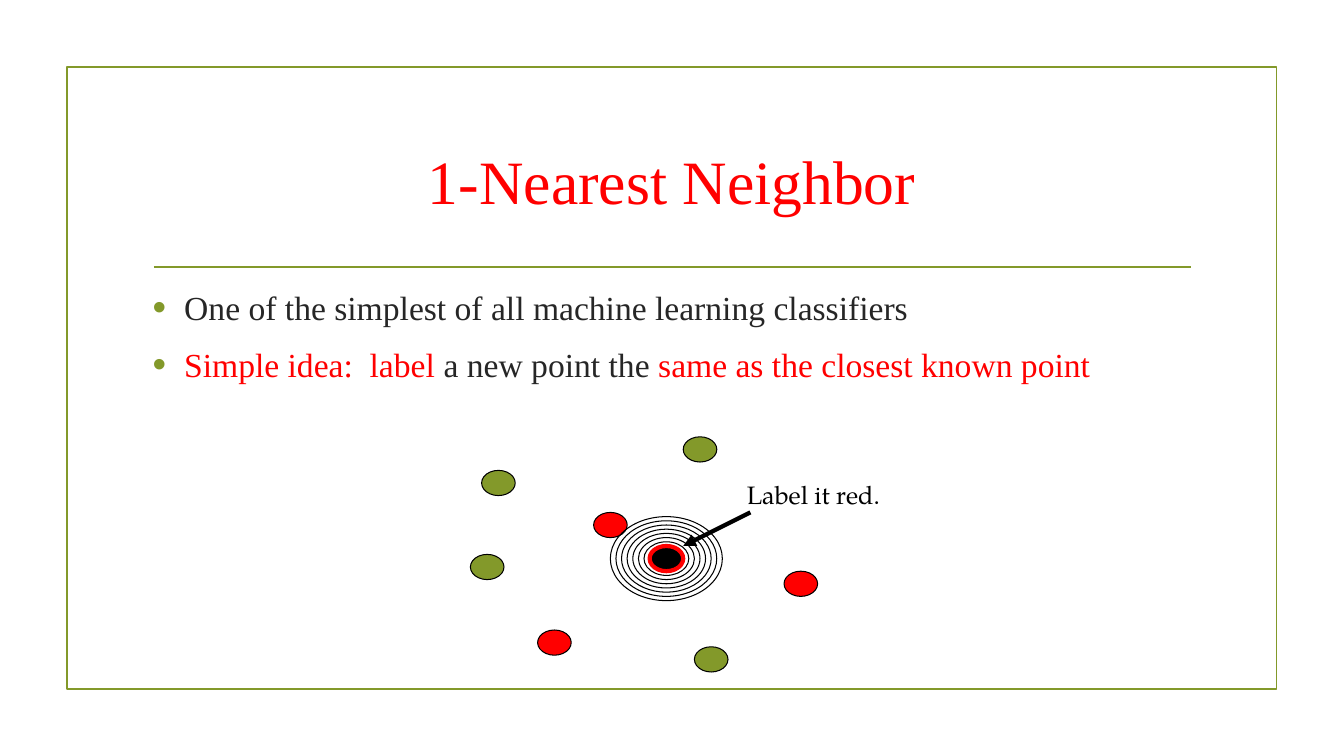
from lxml import etree
from pptx import Presentation
from pptx.dml.color import RGBColor
from pptx.enum.shapes import MSO_CONNECTOR as CONNECTOR, MSO_SHAPE as SHAPE
from pptx.enum.text import MSO_ANCHOR as ANCHOR, MSO_AUTO_SIZE as AUTO_SIZE, PP_ALIGN as ALIGN
from pptx.oxml.ns import qn
from pptx.util import Pt

GREEN = RGBColor(0x83, 0x99, 0x2A)
RED = RGBColor(0xFF, 0x00, 0x00)
BLACK = RGBColor(0x00, 0x00, 0x00)
DARK = RGBColor(0x26, 0x26, 0x26)

SERIF = "Times New Roman"
LABEL_FONT = "TeX Gyre Pagella"

DOT_W, DOT_H = 24, 18
NEW_POINT = (476, 399)
KNOWN_POINTS = [
    (344, 336, GREEN), (384, 450, RED), (488, 312, GREEN), (336, 396, GREEN),
    (560, 408, RED), (424, 366, RED), (496, 462, GREEN),
]
BULLETS = [
    [("One of the simplest of all machine learning classifiers", DARK)],
    [("Simple idea:  label", RED), (" a new point the ", DARK),
     ("same as the closest known point", RED)],
]


def add_outline(s, kind, box, line=BLACK, weight=0.75, fill=None):
    """Add a preset shape, hollow unless a fill is given."""
    sp = s.shapes.add_shape(kind, *map(Pt, box))
    sp.shadow.inherit = False
    if fill is None:
        sp.fill.background()
    else:
        sp.fill.solid()
        sp.fill.fore_color.rgb = fill
    sp.line.color.rgb = line
    sp.line.width = Pt(weight)


def add_line(s, start, end, color, weight, arrow_at_start=False):
    cx = s.shapes.add_connector(CONNECTOR.STRAIGHT, *map(Pt, start + end))
    cx.line.color.rgb = color
    cx.line.width = Pt(weight)
    if arrow_at_start:
        ln = cx.line._get_or_add_ln()
        etree.SubElement(ln, qn("a:headEnd"), type="triangle")
    etree.SubElement(cx._element.spPr, qn("a:effectLst"))


def add_text_frame(s, box, wrap=True):
    tf = s.shapes.add_textbox(*map(Pt, box)).text_frame
    tf.word_wrap = wrap
    return tf


def add_run(p, text, font, size, color):
    r = p.add_run()
    r.text = text
    r.font.name = font
    r.font.size = Pt(size)
    r.font.color.rgb = color


def set_bullet(p):
    pPr = p._p.get_or_add_pPr()
    pPr.set("marL", str(Pt(22.5)))
    pPr.set("indent", str(-Pt(22.5)))
    color = etree.SubElement(pPr, qn("a:buClr"))
    etree.SubElement(color, qn("a:srgbClr"), val=str(GREEN))
    etree.SubElement(pPr, qn("a:buSzPct"), val="115000")
    etree.SubElement(pPr, qn("a:buFont"), typeface="Arial")
    etree.SubElement(pPr, qn("a:buChar"), char="•")


def add_title(s):
    tf = add_text_frame(s, (102, 77, 756, 103))
    tf.vertical_anchor = ANCHOR.MIDDLE
    p = tf.paragraphs[0]
    p.alignment = ALIGN.CENTER
    add_run(p, "1-Nearest Neighbor", SERIF, 44, RED)


def add_bullets(s):
    tf = add_text_frame(s, (102, 201.6, 756, 261.4))
    for i, parts in enumerate(BULLETS):
        p = tf.add_paragraph() if i else tf.paragraphs[0]
        p.space_before = Pt(5.5 if i else 0)
        p.space_after = Pt(6)
        set_bullet(p)
        for text, color in parts:
            add_run(p, text, SERIF, 24, color)


def add_label(s):
    tf = add_text_frame(s, (526.4, 339, 109.4, 29), wrap=False)
    tf.auto_size = AUTO_SIZE.SHAPE_TO_FIT_TEXT
    add_run(tf.paragraphs[0], "Label it red.", LABEL_FONT, 18, BLACK)


def add_new_point(s):
    """Draw the search rings, shrinking evenly down to the new point."""
    x, y = NEW_POINT
    for step in range(7, -1, -1):
        w, h = DOT_W + 8 * step, DOT_H + 6 * step
        box = (x - w / 2, y - h / 2, w, h)
        if step:
            add_outline(s, SHAPE.OVAL, box)
        else:
            add_outline(s, SHAPE.OVAL, box, RED, 3, BLACK)


def main():
    prs = Presentation()
    prs.slide_width, prs.slide_height = Pt(960), Pt(540)
    s = prs.slides.add_slide(prs.slide_layouts[6])

    add_outline(s, SHAPE.RECTANGLE, (47.8, 48, 864, 444), GREEN, 1.25)
    add_line(s, (110, 190.8), (850.5, 190.8), GREEN, 1.25)
    add_title(s)
    add_bullets(s)
    for x, y, color in KNOWN_POINTS:
        add_outline(s, SHAPE.OVAL, (x, y, DOT_W, DOT_H), fill=color)
    add_label(s)
    add_new_point(s)
    add_line(s, (488, 390), (536, 366), BLACK, 3, arrow_at_start=True)

    prs.save("out.pptx")


if __name__ == "__main__":
    main()
